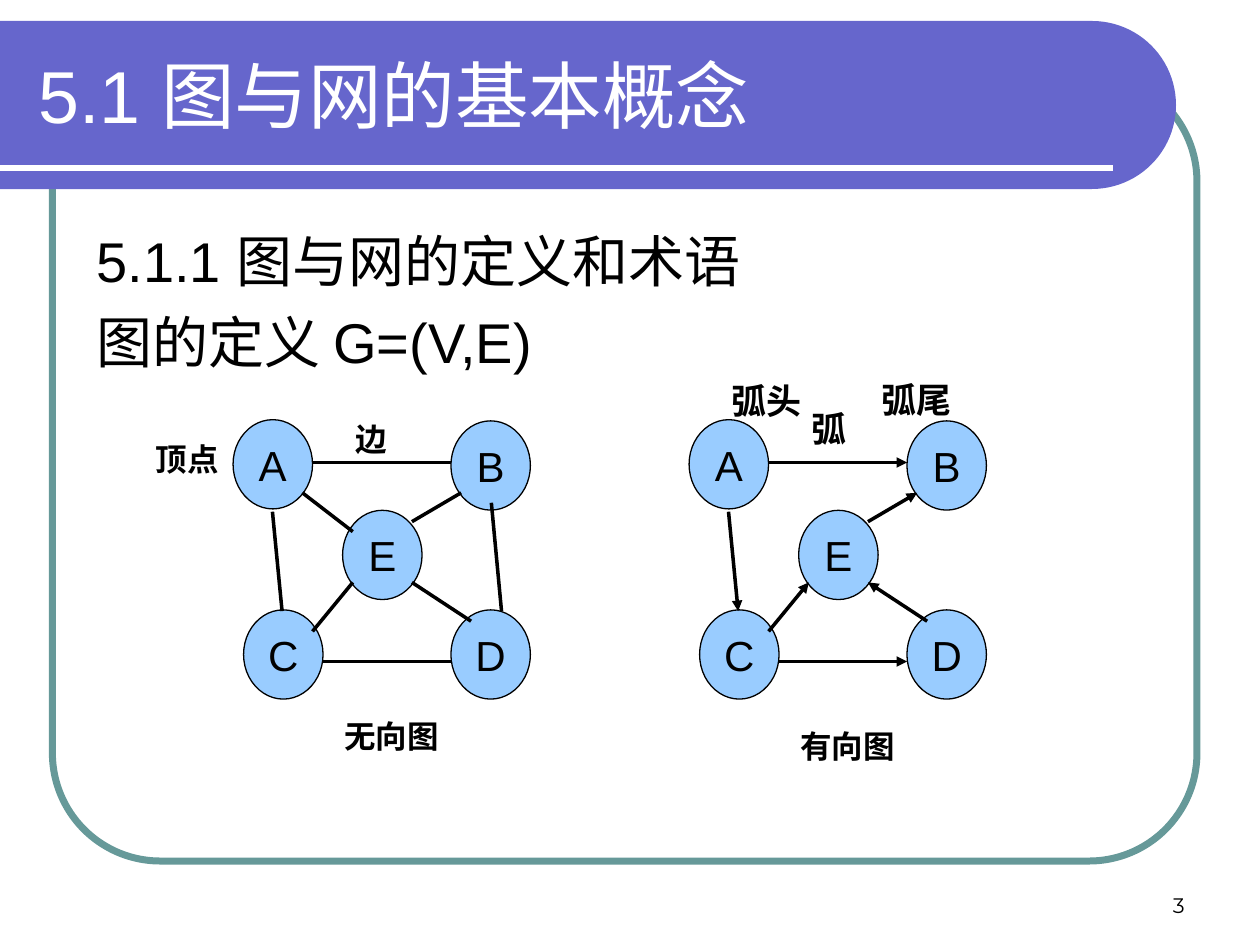
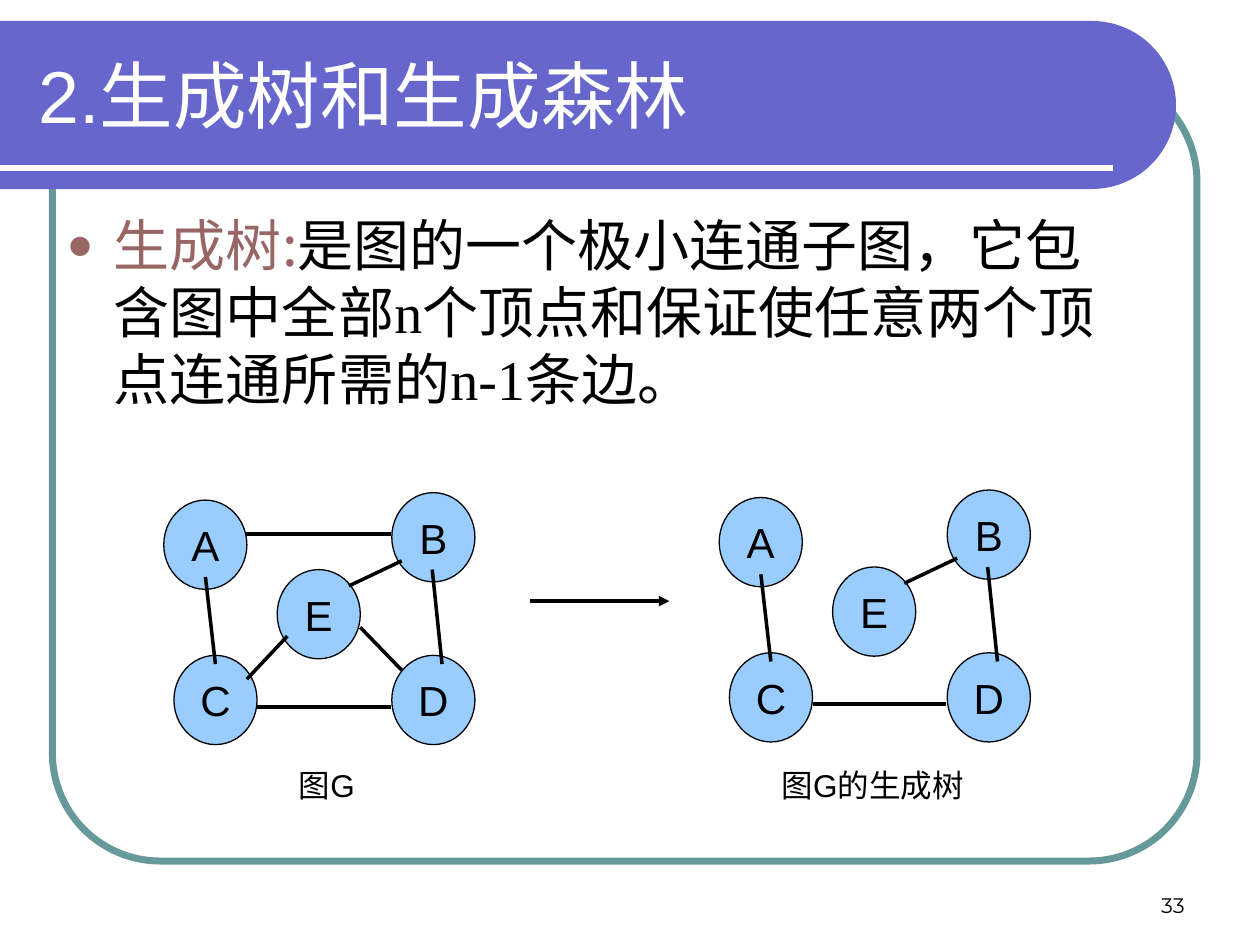
from math import cos, pi, sin

from pptx import Presentation
from pptx.dml.color import RGBColor as Rgb
from pptx.enum.shapes import MSO_CONNECTOR as Conn, MSO_SHAPE as Kind
from pptx.enum.text import MSO_ANCHOR as Anchor, PP_ALIGN as Align
from pptx.oxml.ns import qn
from pptx.util import Pt
from lxml.etree import SubElement as Sub

COLORS = {
    "band": "6666CC", "frame": "669999", "node": "99CCFF",
    "key": "996666", "ink": "000000", "white": "FFFFFF",
}
SANS, HAN, SERIF, NUM = "Arial", "Noto Sans CJK SC", "Times New Roman", "Montserrat"

# Node corners and edge ends, relative to the graph's box
BASIC = {
    "size": (45.4, 51),
    "nodes": {"A": (0, 0), "D": (124.5, 108.7), "C": (6, 108.7),
              "B": (124.5, 0.7), "E": (62.6, 51.8)},
    "edges": {"AE": (39.6, 41.8, 68.4, 64), "ED": (102.2, 93, 136, 115.2),
              "BD": (147.6, 47.5, 153.4, 109.4), "AB": (45.4, 24.5, 124.6, 24.5),
              "AC": (22.5, 52.6, 28, 109.4), "CD": (51, 138.2, 124.6, 138.2),
              "CE": (45.4, 121, 68.4, 93), "BE": (130.3, 41.8, 102.2, 58.3)},
}
TREE = {
    "size": (47.5, 51),
    "nodes": {"A": (0, 4.3), "D": (130.3, 93), "C": (5.8, 93),
              "B": (130.3, 0), "E": (64.8, 44)},
    "edges": {"BD": (153.4, 44, 159, 98), "AB": (46.8, 23.8, 129.6, 23.8),
              "AC": (23.8, 48.2, 29.5, 98), "CD": (53.3, 122.4, 129.6, 122.4),
              "BE": (136, 39, 105.8, 53.3), "EC": (70.6, 82, 47.5, 106.6),
              "ED": (112.3, 77, 136, 101.5)},
}


def tint(name):
    return Rgb.from_string(COLORS[name])


def points(*nums):
    return [Pt(num) for num in nums]


def put(para, text, size, font=SANS, color="ink", bold=False):
    """Add one run with its Latin and Han fonts."""
    run = para.add_run()
    run.text = text
    run.font.size = Pt(size)
    run.font.name = font
    run.font.bold = bold
    run.font.color.rgb = tint(color)
    Sub(run.font._element, qn("a:ea"), typeface=HAN)
    para.line_spacing = Pt(1.2 * size)


def area(slide, box, anchor=Anchor.TOP):
    frame = slide.shapes.add_textbox(*points(*box)).text_frame
    frame.word_wrap = True
    frame.vertical_anchor = anchor
    return frame


def label(slide, box, text, size, anchor=Anchor.TOP, align=Align.LEFT, **look):
    para = area(slide, box, anchor).paragraphs[0]
    para.alignment = align
    put(para, text, size, **look)


def link(slide, ends, width=2, color="ink", arrow=False):
    line = slide.shapes.add_connector(Conn.STRAIGHT, *points(*ends))
    line.line.width = Pt(width)
    line.line.color.rgb = tint(color)
    if arrow:
        Sub(line.line._get_or_add_ln(), qn("a:tailEnd"), type="triangle")
    Sub(line._element.spPr, qn("a:effectLst"))


def frame(slide, box):
    """Rounded outline behind the content."""
    edge = slide.shapes.add_shape(Kind.ROUNDED_RECTANGLE, *points(*box))
    edge.adjustments[0] = 0.137
    edge.shadow.inherit = False
    edge.fill.background()
    edge.line.width = Pt(4)
    edge.line.color.rgb = tint("frame")


def band(slide, box, title):
    """Title band with a half-round right end, its rule and its title."""
    x, y, w, h = box
    rad, steps = h / 2, 48
    turns = [pi * i / steps - pi / 2 for i in range(steps + 1)]
    arc = [(x + w - rad + rad * cos(t), y + rad + rad * sin(t)) for t in turns]
    form = slide.shapes.build_freeform(Pt(x), Pt(y))
    form.add_line_segments([points(*spot) for spot in arc + [(x, y + h)]])
    shape = form.convert_to_shape()
    shape.shadow.inherit = False
    shape.fill.solid()
    shape.fill.fore_color.rgb = tint("band")
    shape.line.fill.background()
    link(slide, (x, y + 84, x + w - 36, y + 84), 3, "white")
    label(slide, (x + 15, y + 6, w - 41, 72), title, 42, Anchor.MIDDLE, color="white")


def base(deck, title, page):
    """Parts that every slide shares."""
    slide = deck.slides.add_slide(deck.slide_layouts[6])
    frame(slide, (30, 42, 654, 450))
    band(slide, (0, 12, 672, 96), title)
    label(slide, (516, 492, 168, 36), page, 12, Anchor.BOTTOM, Align.RIGHT, font=NUM)
    return slide


def body(slide, box, paras, bullet=False):
    """Body text; each paragraph is a list of (text, font, color) runs."""
    text = area(slide, box)
    for i, runs in enumerate(paras):
        para = text.add_paragraph() if i else text.paragraphs[0]
        if i:
            para.space_before = Pt(8)
        for words, font, color in runs:
            put(para, words, 32, font, color)
        props = para._p.get_or_add_pPr()
        props.set("marL", str(Pt(27)))
        props.set("indent", str(Pt(-27)))
        if bullet:
            Sub(Sub(props, qn("a:buClr")), qn("a:srgbClr"), val=COLORS["key"])
            Sub(props, qn("a:buSzPct"), val="80000")
            Sub(props, qn("a:buFont"), typeface=SANS)
            Sub(props, qn("a:buChar"), char="●")


def graph(slide, spot, plan, edges, arrow=False):
    """Nodes and the named edges; a name read backwards flips the edge."""
    x, y = spot
    for name, (dx, dy) in plan["nodes"].items():
        node = slide.shapes.add_shape(
            Kind.OVAL, *points(x + dx, y + dy, *plan["size"]))
        node.shadow.inherit = False
        node.fill.solid()
        node.fill.fore_color.rgb = tint("node")
        node.line.width = Pt(0.75)
        node.line.color.rgb = tint("ink")
        node.text_frame.vertical_anchor = Anchor.MIDDLE
        para = node.text_frame.paragraphs[0]
        para.alignment = Align.CENTER
        put(para, name, 24)
    for name in edges:
        flip = name not in plan["edges"]
        a, b, c, d = plan["edges"][name[::-1] if flip else name]
        ends = (c, d, a, b) if flip else (a, b, c, d)
        link(slide, [n + o for n, o in zip(ends, (x, y, x, y))], arrow=arrow)


def terms(deck):
    """Definition of a graph, undirected and directed."""
    slide = base(deck, "5.1 图与网的基本概念", "3")
    body(slide, (48, 126, 624, 348),
         [[("5.1.1 图与网的定义和术语", SANS, "ink")],
          [("图的定义 G=(V,E)", SANS, "ink")]])
    left, right, top = 133.2, 393.8, 239.8
    graph(slide, (left, top), BASIC, BASIC["edges"])
    graph(slide, (right, top), BASIC, ["DE", "AB", "AC", "CD", "CE", "EB"], True)
    # Captions
    for x, y, text in ((left, 406, "无向图"), (right, 412, "有向图")):
        label(slide, (x + 51, y, 79, 29), text, 18, align=Align.CENTER, bold=True)
    # Names of the parts
    for x, y, w, size, text in (
            (82, 247.7, 55, 18, "顶点"), (195.8, 236.2, 37, 18, "边"),
            (456.5, 229, 44, 20, "弧"), (496.8, 212.4, 65, 20, "弧尾"),
            (411, 213, 64, 20, "弧头")):
        label(slide, (x, y, w, 1.2 * size + 7.2), text, size, Anchor.MIDDLE, bold=True)


def span(deck):
    """A graph and its spanning tree."""
    slide = base(deck, "2.生成树和生成森林", "33")
    body(slide, (31, 116.6, 624, 348),
         [[("生成树:", HAN, "key"),
           ("是图的一个极小连通子图，它包含图中全部", HAN, "ink"),
           ("n", SERIF, "ink"),
           ("个顶点和保证使任意两个顶点连通所需的", HAN, "ink"),
           ("n-1", SERIF, "ink"), ("条边。", HAN, "ink")]], True)
    graph(slide, (93.6, 281.5), TREE, TREE["edges"])
    link(slide, (303, 343.5, 382.5, 343.5), arrow=True)
    graph(slide, (411, 280), TREE, ["BD", "AC", "CD", "BE"])
    # Captions
    for x, h, text in ((127.4, 29, "图G"), (439.2, 50.4, "图G的生成树")):
        label(slide, (x, 434.2, 118.8, h), text, 18, align=Align.CENTER)


def main():
    deck = Presentation()
    deck.slide_width, deck.slide_height = Pt(720), Pt(540)
    terms(deck)
    span(deck)
    deck.save("out.pptx")


if __name__ == "__main__":
    main()
